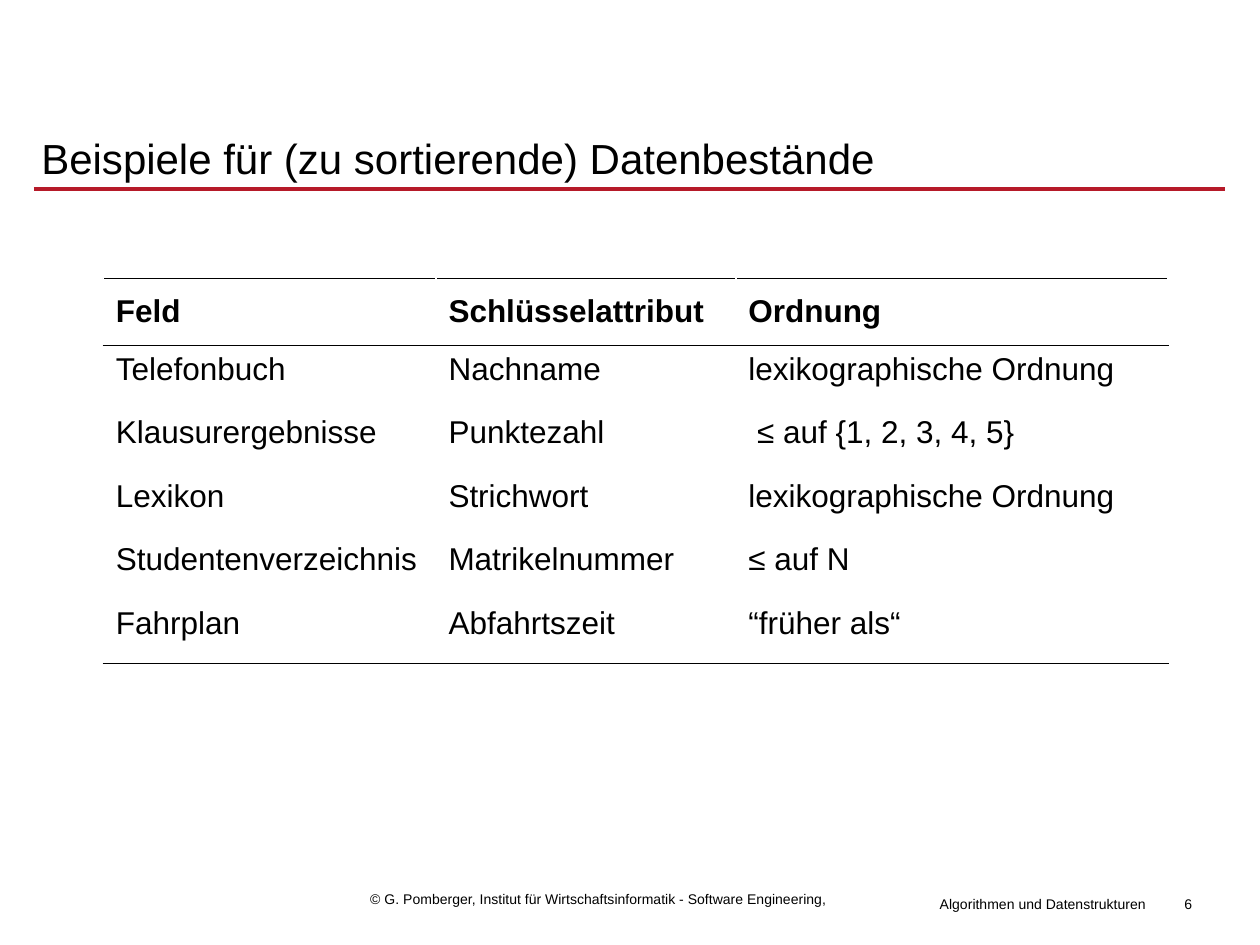
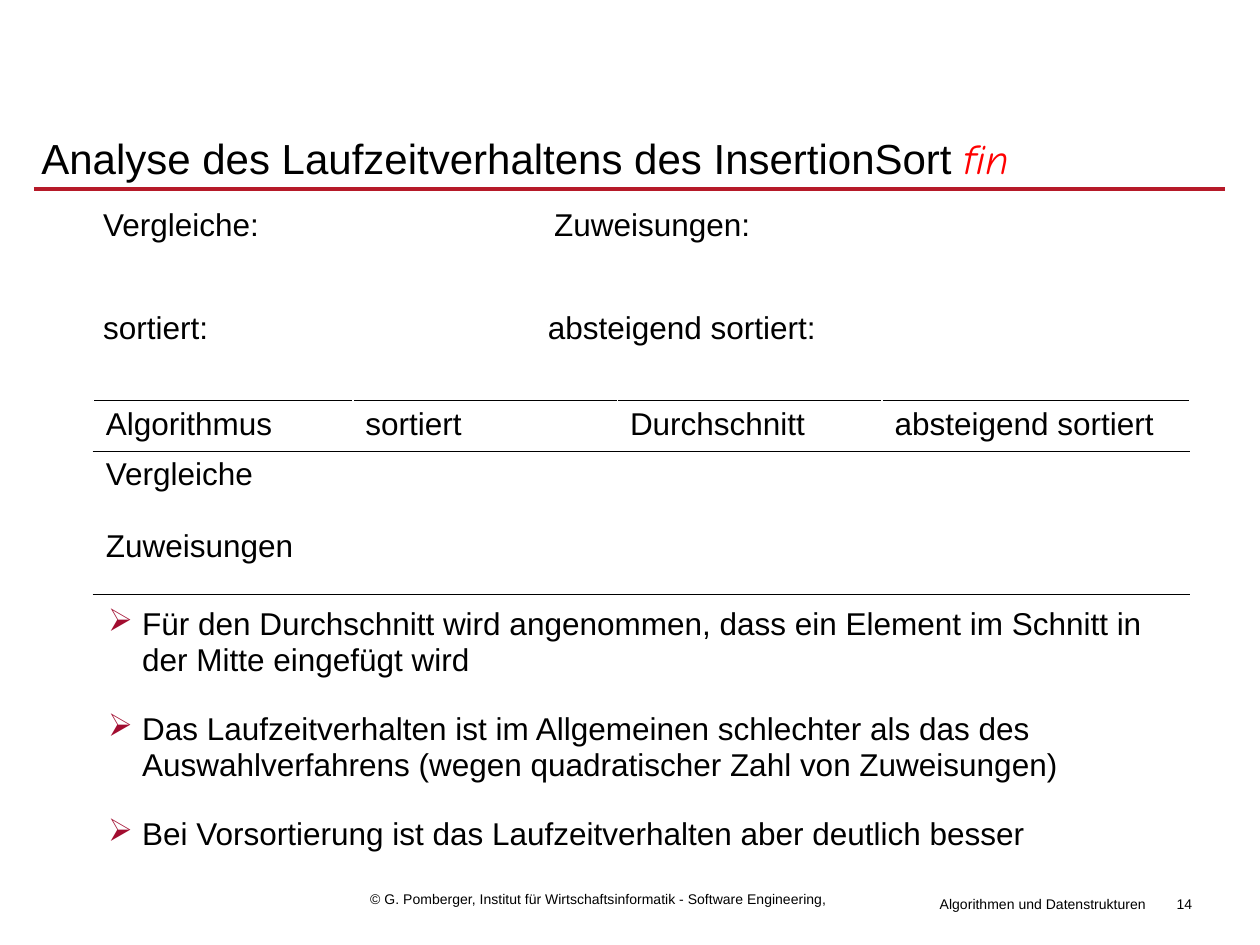
from lxml import etree
from pptx import Presentation, util as u
from pptx.dml.color import RGBColor
from pptx.enum import shapes, text
from pptx.oxml import ns

Inches, Pt = u.Inches, u.Pt
COLORS = {"text": "000000", "rule": "B61A29", "bullet": "A20D30", "accent": "FF0000"}
FONT = "Arial"
BODY_SIZE = 18


def color(name):
    return RGBColor.from_string(COLORS[name])


def set_font(font, size, name="text", face=FONT, bold=False):
    font.name, font.size, font.bold = face, Pt(size), bold
    font.color.rgb = color(name)


def sub(parent, tag, **attrs):
    return etree.SubElement(parent, ns.qn(tag), **attrs)


def add_text(slide, box, lines, size, align=None, anchor=text.MSO_ANCHOR.TOP):
    """Place one paragraph per line in box and return the paragraphs."""
    frame = slide.shapes.add_textbox(*map(Inches, box)).text_frame
    frame.word_wrap = True
    frame.vertical_anchor = anchor
    for i, line in enumerate(lines):
        paragraph = frame.paragraphs[0] if i == 0 else frame.add_paragraph()
        paragraph.text = line
        paragraph.alignment = align
        set_font(paragraph.font, size)
    return frame.paragraphs


def add_title(slide, box, title, remark=None):
    left, top, width, height = box
    heading = add_text(slide, box, [title], 24, anchor=text.MSO_ANCHOR.MIDDLE)[0]
    if remark:
        run = heading.add_run()
        run.text = remark
        set_font(run.font, 24, "accent", "Comic Neue")
        run.font.italic = True
    # Rule under the title
    y = Inches(top + 0.63)
    rule = slide.shapes.add_connector(
        shapes.MSO_CONNECTOR.STRAIGHT, Inches(left + 0.04), y, Inches(left + width - 0.04), y)
    rule.line.color.rgb = color("rule")
    rule.line.width = Pt(1.76)
    sub(rule._element.spPr, "a:effectLst")


def add_footer(slide, box, number):
    left, top, width, height = box
    add_text(slide, (left, top, 3.86, height),
             ["© G. Pomberger, Institut für Wirtschaftsinformatik - Software Engineering, "], 8)
    add_text(slide, (left + 4.52, top + 0.04, 1.89, height), ["Algorithmen und Datenstrukturen"], 8)
    add_text(slide, (left + width - 0.54, top + 0.04, 0.54, height), [str(number)], 8,
             text.PP_ALIGN.RIGHT)


def set_borders(cell, tags):
    properties = cell._tc.get_or_add_tcPr()
    for i, tag in enumerate(tags):
        line = etree.Element(ns.qn(tag), w=str(Pt(0.45)))
        sub(sub(line, "a:solidFill"), "a:srgbClr", val=COLORS["text"])
        properties.insert(i, line)


def add_ruled_table(slide, origin, widths, heights, rows, bold_header=False):
    """Table with lines above and below the header and below the last row."""
    size = (sum(widths), sum(heights))
    table = slide.shapes.add_table(len(rows), len(widths), *map(Inches, origin + size)).table
    table.first_row = table.horz_banding = False
    for column, width in zip(table.columns, widths):
        column.width = Inches(width)
    last = len(rows) - 1
    for r, (values, height) in enumerate(zip(rows, heights)):
        table.rows[r].height = Inches(height)
        borders = ["a:lnT"] * (r in (0, 1)) + ["a:lnB"] * (r in (0, last))
        header = bold_header and r == 0
        for c in range(len(widths)):
            cell = table.cell(r, c)
            cell.fill.background()
            set_borders(cell, borders)
            cell.vertical_anchor = text.MSO_ANCHOR.MIDDLE if header else text.MSO_ANCHOR.TOP
            paragraph = cell.text_frame.paragraphs[0]
            paragraph.text = values[c] if c < len(values) else ""
            set_font(paragraph.font, BODY_SIZE, bold=header)


def add_case_labels(slide, box, cases):
    """Pairs of labels; each case gives left label, right label and tab stop."""
    lines = [f"{first}\t{second}" for first, second, _ in cases]
    for paragraph, (_, _, stop) in zip(add_text(slide, box, lines, BODY_SIZE), cases):
        paragraph.line_spacing = 0.9
        paragraph.space_after = Pt(39.7)
        tabs = etree.Element(ns.qn("a:tabLst"))
        sub(tabs, "a:tab", pos=str(Inches(stop)), algn="l")
        paragraph._p.pPr.find(ns.qn("a:defRPr")).addprevious(tabs)


def add_bullets(slide, box, items):
    hang = Inches(0.27)
    for paragraph in add_text(slide, box, items, BODY_SIZE):
        paragraph.line_spacing = 0.94
        paragraph.space_after = Pt(19.4)
        properties = paragraph._p.pPr
        properties.set("marL", str(hang))
        properties.set("indent", str(-hang))
        bullet_color = etree.Element(ns.qn("a:buClr"))
        sub(bullet_color, "a:srgbClr", val=COLORS["bullet"])
        bullet = etree.Element(ns.qn("a:buChar"), char="➢")
        for part in (bullet_color, bullet):
            properties.find(ns.qn("a:defRPr")).addprevious(part)


def new_slide(deck, number, title, remark=None):
    slide = deck.slides.add_slide(deck.slide_layouts[6])
    add_footer(slide, (2.84, 7.02, 6.72, 0.24), number)
    add_title(slide, (0.23, 0.87, 9.53, 0.76), title, remark)
    return slide


def build_examples(deck):
    slide = new_slide(deck, 6, "Beispiele für (zu sortierende) Datenbestände")
    add_ruled_table(slide, (0.82, 2.21), (2.64, 2.38, 3.43), (0.53,) + (0.505,) * 5, [
        ("Feld", "Schlüsselattribut", "Ordnung"),
        ("Telefonbuch", "Nachname", "lexikographische Ordnung"),
        ("Klausurergebnisse", "Punktezahl", " ≤ auf {1, 2, 3, 4, 5}"),
        ("Lexikon", "Strichwort", "lexikographische Ordnung"),
        ("Studentenverzeichnis", "Matrikelnummer", "≤ auf N"),
        ("Fahrplan", "Abfahrtszeit", "“früher als“"),
    ], bold_header=True)


def build_analysis(deck):
    slide = new_slide(deck, 14, "Analyse des Laufzeitverhaltens des InsertionSort ", "fin ")
    add_case_labels(slide, (0.72, 1.61, 8.69, 1.4), [
        ("Vergleiche:", "Zuweisungen:", 3.58),
        ("sortiert:", "absteigend sortiert:", 3.53),
    ])
    add_bullets(slide, (0.76, 4.77, 8.65, 2.15), [
        "Für den Durchschnitt wird angenommen, dass ein Element im Schnitt in "
        "der Mitte eingefügt wird",
        "Das Laufzeitverhalten ist im Allgemeinen schlechter als das des "
        "Auswahlverfahrens (wegen quadratischer Zahl von Zuweisungen)",
        "Bei Vorsortierung ist das Laufzeitverhalten aber deutlich besser",
    ])
    add_ruled_table(slide, (0.74, 3.18), (2.06, 2.1, 2.1, 2.44), (0.4, 0.57, 0.57), [
        ("Algorithmus", "sortiert", "Durchschnitt", "absteigend sortiert"),
        ("Vergleiche",),
        ("Zuweisungen",),
    ])


deck = Presentation()
deck.slide_width, deck.slide_height = Inches(10), Inches(7.5)
build_examples(deck)
build_analysis(deck)
deck.save("out.pptx")
